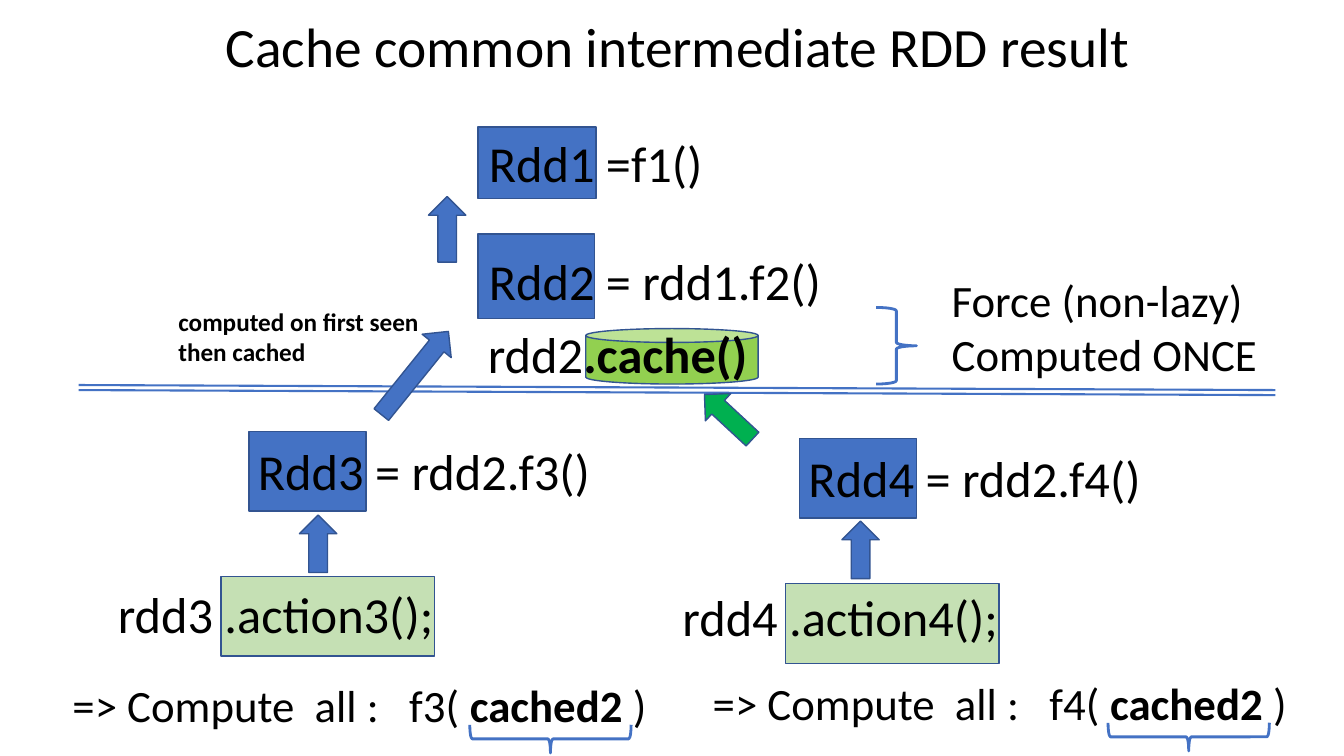
from lxml import etree
from pptx import Presentation
from pptx.dml.color import RGBColor
from pptx.enum.shapes import MSO_CONNECTOR, MSO_SHAPE
from pptx.enum.text import MSO_ANCHOR, MSO_AUTO_SIZE, PP_ALIGN
from pptx.oxml.ns import qn
from pptx.util import Inches, Pt

RECTANGLE = MSO_SHAPE.RECTANGLE
CAN = MSO_SHAPE.CAN
BRACE = MSO_SHAPE.LEFT_BRACE
ARROW = MSO_SHAPE.DOWN_ARROW
STRAIGHT = MSO_CONNECTOR.STRAIGHT
CENTER = PP_ALIGN.CENTER
MIDDLE = MSO_ANCHOR.MIDDLE
GROW = MSO_AUTO_SIZE.SHAPE_TO_FIT_TEXT

BLUE = "4472C4"
OUTLINE = "325491"
PALE_GREEN = "C5E0B4"
LIME = "92D050"
GREEN = "00B050"
BLACK = "000000"
ARROW_WIDTH = 0.37


def color(hex_string):
    return RGBColor.from_string(hex_string)


class Page:
    """Holds the text style and the slide being drawn."""

    def __init__(self, slide, font="Calibri"):
        self.slide = slide
        self.font = font

    def style(self, span, size, bold=False):
        span.font.name = self.font
        span.font.size = Pt(size)
        span.font.bold = bold
        span.font.color.rgb = color(BLACK)

    def title(self, text, left, top, width, height, size):
        box = self.slide.shapes.title
        box.left, box.top = Inches(left), Inches(top)
        box.width, box.height = Inches(width), Inches(height)
        frame = box.text_frame
        frame.text = text
        frame.vertical_anchor = MIDDLE
        para = frame.paragraphs[0]
        para.alignment = CENTER
        para.line_spacing = 0.9
        self.style(para.runs[0], size)

    def text(self, lines, left, top, width, height, size=36, wrap=False):
        """Each line is a list of pieces; a piece is (text, bold)."""
        box = self.slide.shapes.add_textbox(
            Inches(left), Inches(top), Inches(width), Inches(height))
        frame = box.text_frame
        frame.word_wrap = wrap
        frame.auto_size = GROW
        for index, pieces in enumerate(lines):
            para = frame.add_paragraph() if index else frame.paragraphs[0]
            for words, bold in pieces:
                span = para.add_run()
                span.text = words
                self.style(span, size, bold)

    def shape(self, kind, left, top, width, height, fill=BLUE, rotation=0):
        shape = self.slide.shapes.add_shape(
            kind, Inches(left), Inches(top), Inches(width), Inches(height))
        shape.shadow.inherit = False
        shape.rotation = rotation
        shape.fill.solid()
        shape.fill.fore_color.rgb = color(fill)
        shape.line.color.rgb = color(OUTLINE)
        shape.line.width = Pt(1)
        return shape

    def arrow(self, left, top, height, fill=BLUE, rotation=180):
        self.shape(ARROW, left, top, ARROW_WIDTH, height, fill, rotation)

    def brace(self, left, top, width, height, rotation):
        brace = self.shape(BRACE, left, top, width, height, rotation=rotation)
        brace.fill.background()
        brace.line.color.rgb = color(BLUE)
        brace.line.width = Pt(2)

    def line(self, left, top, right, bottom):
        line = self.slide.shapes.add_connector(
            STRAIGHT, Inches(left), Inches(top), Inches(right), Inches(bottom))
        line.line.color.rgb = color(BLUE)
        line.line.width = Pt(1.5)
        etree.SubElement(line._element.spPr, qn("a:effectLst"))


def draw_shared_steps(page):
    page.shape(CAN, 5.81, 3.26, 1.71, 0.55, LIME)
    page.shape(RECTANGLE, 4.74, 1.26, 1.17, 0.71)
    page.text([[("Rdd1 =f1()", False)]], 4.75, 1.26, 2.34, 0.71)
    page.shape(RECTANGLE, 4.74, 2.32, 1.16, 0.84)
    page.text([[("Rdd2 = rdd1.f2()", False)]], 4.75, 2.43, 3.53, 0.71)
    page.brace(8.69, 3.05, 0.4, 0.76, 180)
    page.text([[("Force (non-lazy)", False)], [("Computed ONCE", False)]],
              9.34, 2.66, 3.26, 1.18, 32)
    page.text([[("rdd2", False), (".cache()", True)]],
              4.74, 3.16, 2.79, 0.71, wrap=True)
    for top in (3.82, 3.87):
        page.line(0.78, top, 12.65, top + 0.05)
    page.text([[("computed on first seen", True)], [("then cached", True)]],
              1.67, 2.99, 2.61, 0.71, 18)
    page.arrow(4.25, 1.95, 0.65)
    page.arrow(3.93, 3.17, 1.06, rotation=218.9)
    page.arrow(7.04, 3.81, 0.65, GREEN, 132.9)


def draw_branch(page, number, step, step_text, action, action_text, result,
                brace, arrow):
    """Draws one consumer of the cached result; places are (left, top)."""
    page.shape(RECTANGLE, *step, 1.16, 0.79)
    page.text([[(f"Rdd{number} = rdd2.f{number}()", False)]],
              *step_text, 3.53, 0.71)
    page.shape(RECTANGLE, *action, 2.12, 0.79, PALE_GREEN)
    page.text([[(f"rdd{number} .action{number}();", False)]],
              *action_text, 3.36, 0.71)
    page.text([[(f"=> Compute  all :   f{number}( ", False),
                ("cached2 ", True), (")", False)]], *result, 5.95, 0.64, 32)
    page.brace(*brace, 0.28, 1.6, 270)
    page.arrow(*arrow, 0.57)


def main():
    deck = Presentation()
    deck.slide_width, deck.slide_height = Inches(13.33), Inches(7.5)
    page = Page(deck.slides.add_slide(deck.slide_layouts[5]))
    page.title("Cache common intermediate RDD result", 0.97, 0, 11.5, 0.98, 39.6)
    draw_shared_steps(page)
    draw_branch(page, 3, step=(2.47, 4.28), step_text=(2.46, 4.32),
                action=(2.19, 5.72), action_text=(1.07, 5.74),
                result=(0.62, 6.67), brace=(5.32, 6.53), arrow=(2.97, 5.11))
    draw_branch(page, 4, step=(7.93, 4.35), step_text=(7.92, 4.39),
                action=(7.79, 5.79), action_text=(6.67, 5.77),
                result=(6.97, 6.65), brace=(11.65, 6.51), arrow=(8.35, 5.17))
    deck.save("out.pptx")


if __name__ == "__main__":
    main()
